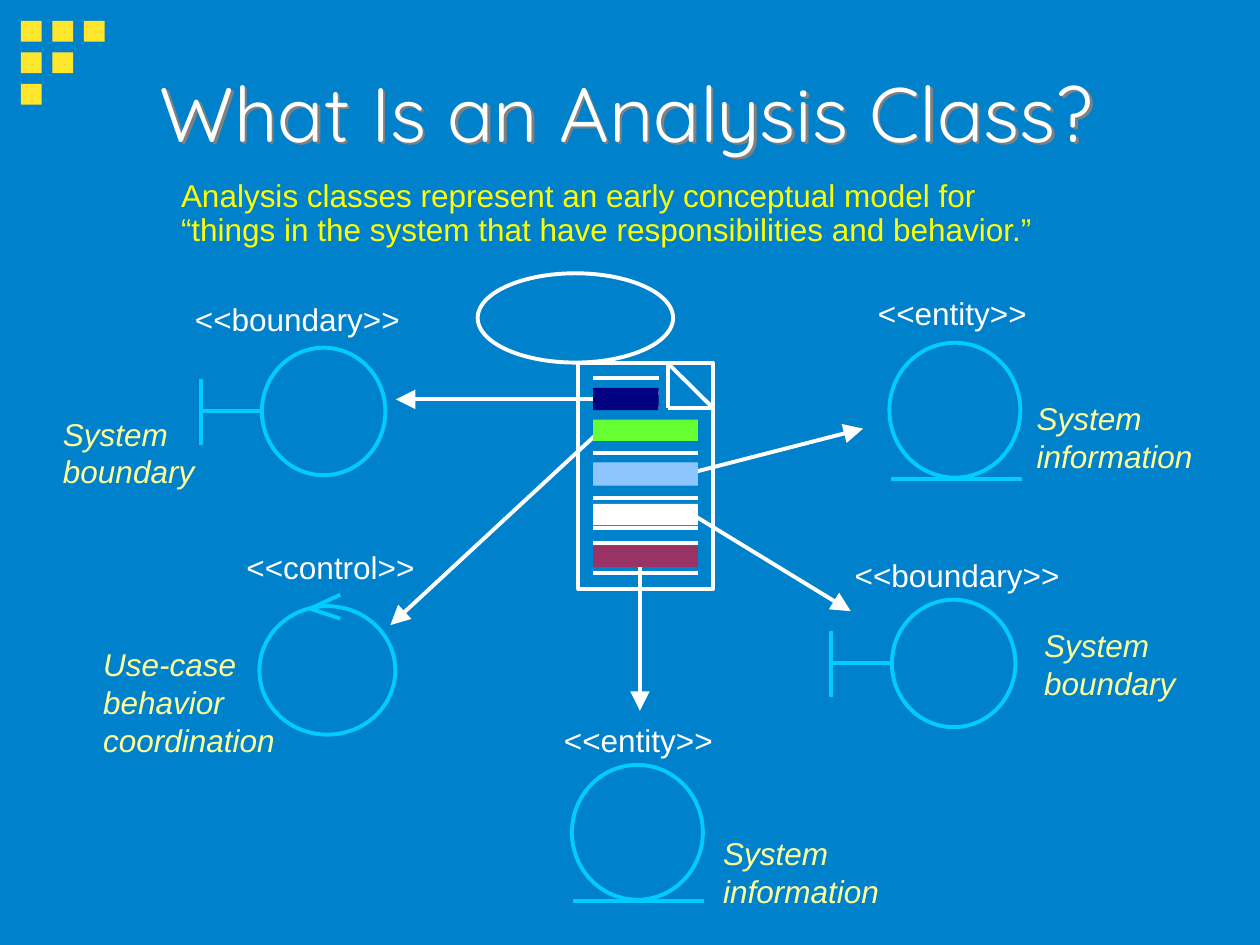
"""Build the slide that explains analysis classes."""
from lxml import etree
from pptx import Presentation
from pptx import util as u
from pptx.dml import color
from pptx.enum import shapes, text
from pptx.oxml import ns

COLOURS = {
    "background": "0081CB", "square": "FFE62D", "white": "FFFFFF",
    "caption": "FFFF99", "intro": "FFFF00", "symbol": "00CCFF",
    "navy": "000080", "green": "66FF33", "sky": "8DC6FF", "plum": "993366",
    "shadow": "808080",
}
CAPTIONS = [
    ("System boundary", 1.02, 8.23, 3.61, 1.78),
    ("Use-case behavior coordination", 1.83, 12.88, 4.01, 2.54),
    ("System information", 20.65, 7.92, 4.24, 1.78),
    ("System information", 14.33, 16.69, 4.24, 1.78),
    ("System boundary", 20.8, 12.5, 3.61, 1.78),
]
STEREOTYPES = [
    ("<<boundary>>", 3.63, 5.89, 4.9),
    ("<<control>>", 4.67, 10.9, 4.15),
    ("<<entity>>", 17.4, 5.78, 3.75),
    ("<<entity>>", 11.07, 14.39, 3.75),
    ("<<boundary>>", 16.93, 11.05, 4.9),
]
ARROWS = [
    (12.24, 8.05, 7.98, 8.05),
    (13.94, 9.53, 17.4, 8.64),
    (12.9, 11, 12.9, 14.33),
    (13.94, 10.36, 17.15, 12.32),
    (12.04, 8.74, 7.87, 12.6),
]
BARS = [
    ("navy", 7.82, 1.32, 0.45), ("green", 8.46, 2.11, 0.43),
    ("sky", 9.32, 2.11, 0.47), ("white", 10.16, 2.11, 0.43),
    ("plum", 11, 2.11, 0.43),
]
RULE_LEFT = 11.96


def rgb(name):
    """Return the named colour."""
    return color.RGBColor.from_string(COLOURS[name])


def add_figure(slide, kind, box, fill=None, line=None):
    """Add a preset shape with a plain fill or outline."""
    shape = slide.shapes.add_shape(kind, *map(u.Cm, box))
    shape.shadow.inherit = False
    if fill:
        shape.fill.solid()
        shape.fill.fore_color.rgb = rgb(fill)
    else:
        shape.fill.background()
    if line:
        shape.line.color.rgb = rgb(line)
        shape.line.width = u.Pt(2.25)
    else:
        shape.line.fill.background()


def add_line(slide, ends, colour, arrow=False):
    """Add a straight line, with an arrowhead at its end if asked."""
    connector = slide.shapes.add_connector(
        shapes.MSO_CONNECTOR.STRAIGHT, *map(u.Cm, ends))
    connector.line.color.rgb = rgb(colour)
    connector.line.width = u.Pt(2.25)
    if arrow:
        etree.SubElement(connector.line._get_or_add_ln(), ns.qn("a:tailEnd"),
                         type="triangle", w="lg", len="lg")
    etree.SubElement(connector._element.spPr, ns.qn("a:effectLst"))


def add_text(slide, lines, box, colour, size=18, font="Arial", italic=False,
             wrap=True, spacing=None, margins=(0.25, 0.13),
             anchor=text.MSO_ANCHOR.TOP):
    """Add a text box with one paragraph a line and return it."""
    shape = slide.shapes.add_textbox(*map(u.Cm, box))
    frame = shape.text_frame
    frame.word_wrap = wrap
    frame.vertical_anchor = anchor
    frame.margin_left = frame.margin_right = u.Cm(margins[0])
    frame.margin_top = frame.margin_bottom = u.Cm(margins[1])
    for index, line in enumerate(lines):
        paragraph = frame.add_paragraph() if index else frame.paragraphs[0]
        paragraph.alignment = text.PP_ALIGN.LEFT
        paragraph.line_spacing = spacing
        run = paragraph.add_run()
        run.text = line
        run.font.name = font
        run.font.size = u.Pt(size)
        run.font.italic = italic
        run.font.color.rgb = rgb(colour)
    return shape


def add_text_shadow(shape):
    """Let the text of an unfilled box cast a grey shadow."""
    effects = etree.SubElement(shape._element.spPr, ns.qn("a:effectLst"))
    shadow = etree.SubElement(effects, ns.qn("a:outerShdw"),
                              dist="25400", dir="2700000")
    etree.SubElement(shadow, ns.qn("a:srgbClr"), val=COLOURS["shadow"])


def add_corner_squares(slide):
    """Add the triangle of squares in the corner."""
    for row in range(3):
        for column in range(3 - row):
            box = (0.42 + 0.635 * column, 0.42 + 0.635 * row, 0.42, 0.42)
            add_figure(slide, shapes.MSO_SHAPE.RECTANGLE, box, fill="square")


def add_use_case(slide):
    """Add the use case with its ruled page, arrows and coloured bars."""
    add_figure(slide, shapes.MSO_SHAPE.OVAL, (9.63, 5.51, 3.94, 1.8), line="white")
    add_figure(slide, shapes.MSO_SHAPE.RECTANGLE, (11.66, 7.32, 2.72, 4.55), line="white")
    left, top, right, bottom = 13.46, 7.32, 14.38, 8.23
    for ends in ((left, top, right, bottom), (left, top, left, bottom),
                 (right, bottom, left, bottom)):
        add_line(slide, ends, "white")
    for row in range(14):
        y = 7.62 + row * 3.94 / 13
        add_line(slide, (RULE_LEFT, y, 13.28 if row < 3 else 14.07, y), "white")
    for ends in ARROWS:
        add_line(slide, ends, "white", arrow=True)
    for colour, y, width, height in BARS:
        add_figure(slide, shapes.MSO_SHAPE.RECTANGLE, (RULE_LEFT, y, width, height), fill=colour)


def add_entity(slide, x, y):
    """Add an entity symbol: a circle on a line."""
    add_figure(slide, shapes.MSO_SHAPE.OVAL, (x, y, 2.64, 2.72), line="symbol")
    add_line(slide, (x + 0.03, y + 2.74, x + 2.67, y + 2.74), "symbol")


def add_boundary(slide, x, y):
    """Add a boundary symbol: a circle joined to an upright bar."""
    add_figure(slide, shapes.MSO_SHAPE.OVAL, (x, y, 2.49, 2.57), line="symbol")
    bar = x - 1.22
    add_line(slide, (bar, y + 0.64, bar, y + 1.96), "symbol")
    add_line(slide, (bar, y + 1.27, x, y + 1.27), "symbol")


def add_control(slide, x, y):
    """Add a control symbol: a circle with an open arrowhead."""
    add_figure(slide, shapes.MSO_SHAPE.OVAL, (x, y, 2.74, 2.59), line="symbol")
    for offset in (-0.23, 0.25):
        add_line(slide, (x + 1.63, y + offset, x + 1.02, y + 0.05), "symbol")


def main():
    """Build and save the slide."""
    presentation = Presentation()
    presentation.slide_width, presentation.slide_height = u.Cm(25.4), u.Cm(19.05)
    slide = presentation.slides.add_slide(presentation.slide_layouts[6])
    slide.background.fill.solid()
    slide.background.fill.fore_color.rgb = rgb("background")

    add_corner_squares(slide)
    title = add_text(slide, ["What Is an Analysis Class?"], (2.97, 0.66, 21.59, 3.18),
                     "white", size=44, font="Quicksand", anchor=text.MSO_ANCHOR.MIDDLE)
    add_text_shadow(title)
    for caption, *box in CAPTIONS:
        add_text(slide, [caption], box, "caption", italic=True)
    for stereotype, x, y, width in STEREOTYPES:
        add_text(slide, [stereotype], (x, y, width, 1.07), "white",
                 wrap=False, margins=(0.3, 0.15))
    add_use_case(slide)
    for x, y in ((17.93, 6.91), (11.53, 15.42)):
        add_entity(slide, x, y)
    for x, y in ((5.28, 7.01), (17.98, 12.09)):
        add_boundary(slide, x, y)
    add_control(slide, 5.23, 12.22)
    add_text(slide, ["Analysis classes represent an early conceptual model for",
                     "“things in the system that have responsibilities and behavior.”"],
             (3.35, 3.49, 17.9, 1.68), "intro", wrap=False, spacing=0.9,
             margins=(0.3, 0.15))
    presentation.save("out.pptx")


if __name__ == "__main__":
    main()
